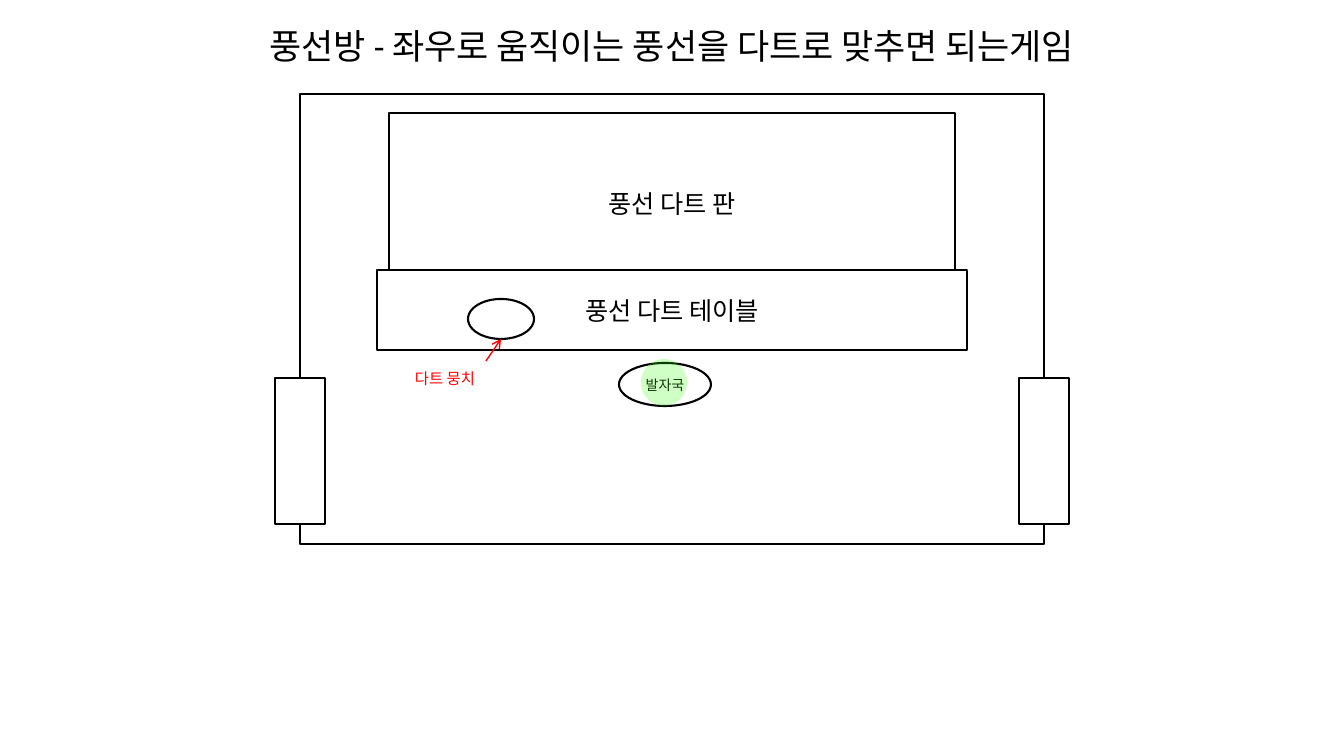
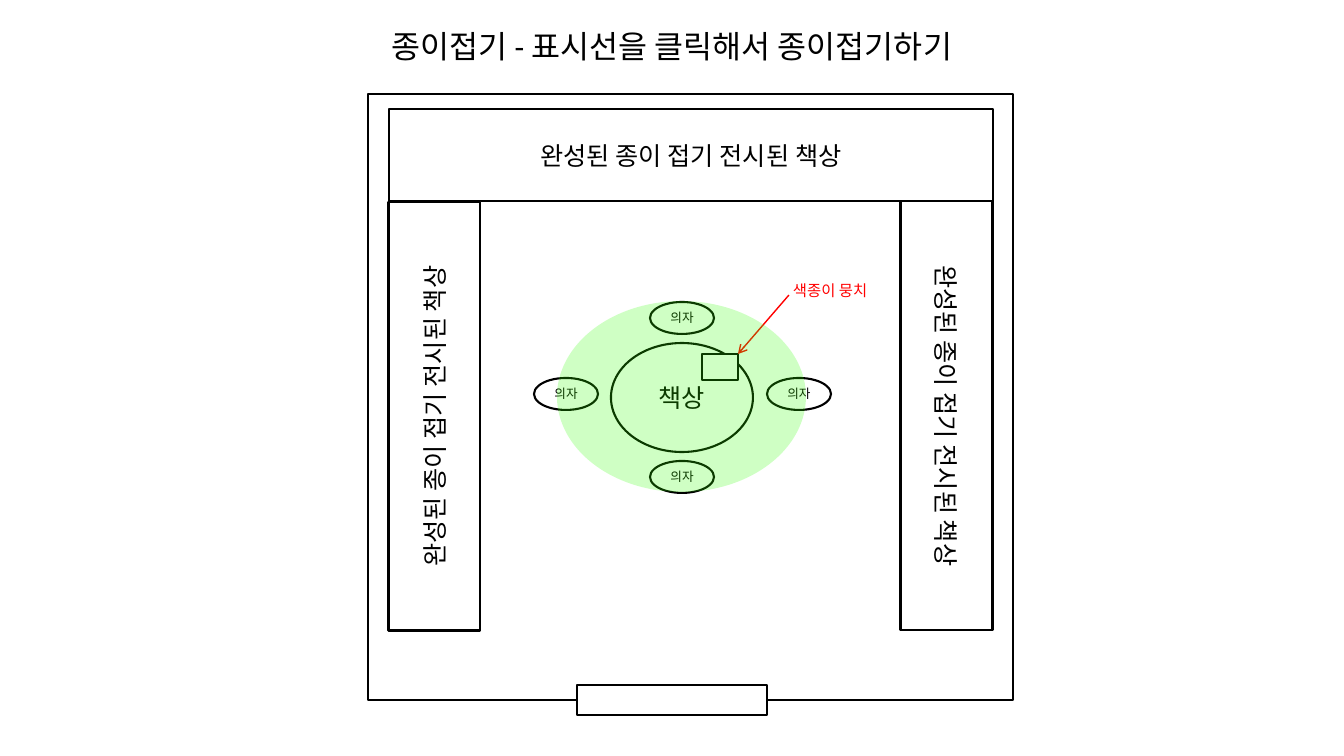
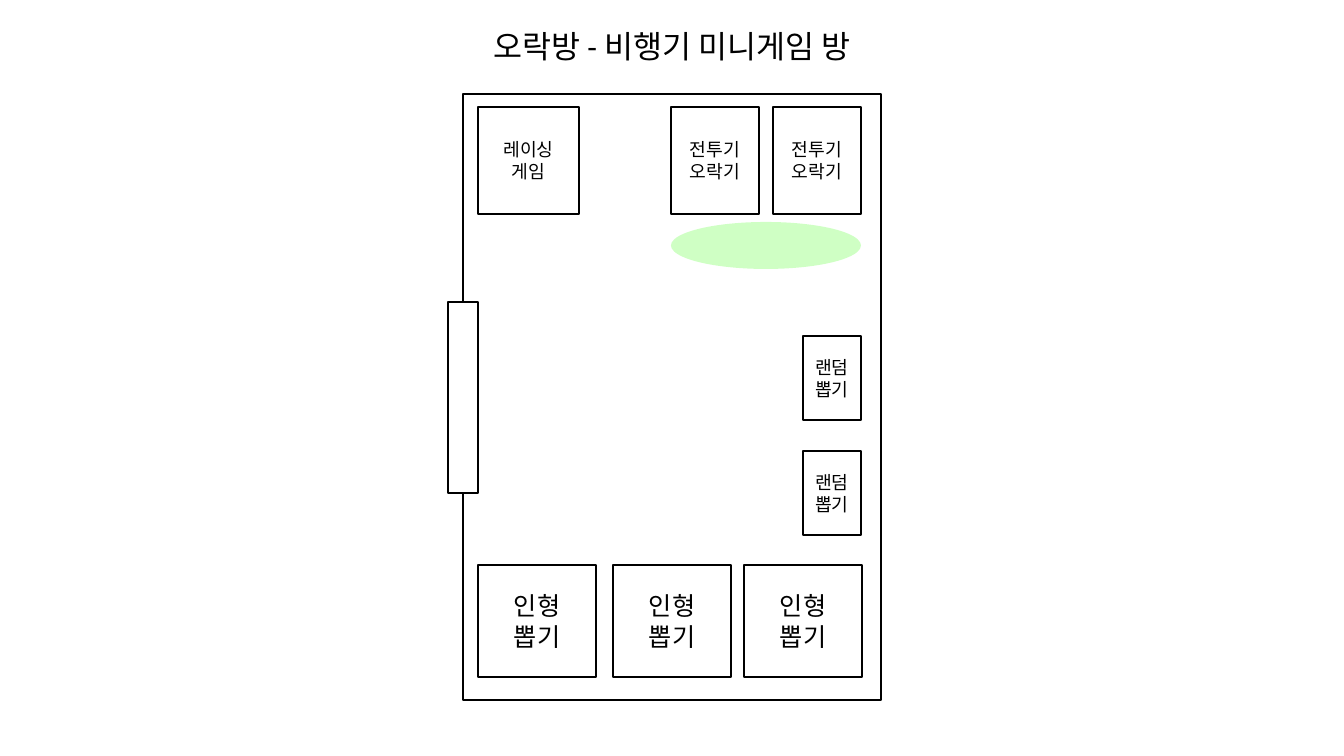
from lxml import etree
from pptx import Presentation
from pptx.dml.color import RGBColor
from pptx.enum.shapes import MSO_CONNECTOR, MSO_SHAPE
from pptx.enum.text import MSO_ANCHOR, MSO_AUTO_SIZE, PP_ALIGN
from pptx.oxml.ns import qn
from pptx.util import Emu, Pt

RECT, OVAL = MSO_SHAPE.RECTANGLE, MSO_SHAPE.OVAL
LINE = MSO_CONNECTOR.STRAIGHT
LEFT, MID = PP_ALIGN.LEFT, PP_ALIGN.CENTER
TOP, HALF = MSO_ANCHOR.TOP, MSO_ANCHOR.MIDDLE
FIXED = MSO_AUTO_SIZE.NONE

BLACK = RGBColor(0x00, 0x00, 0x00)
WHITE = RGBColor(0xFF, 0xFF, 0xFF)
RED = RGBColor(0xFF, 0x00, 0x00)
GREEN = RGBColor(0x33, 0xFF, 0x00)
FONT = "Calibri"
SCALE = 914400 / 100.8


def px(n):
    return Emu(round(n * SCALE))


def assign(item, values):
    for key, value in values.items():
        setattr(item, key, value)


class Plan:
    def __init__(self):
        self.deck = Presentation()
        assign(self.deck, {"slide_width": px(1344), "slide_height": px(756)})
        self.slide = None

    def page(self, text, size):
        self.slide = self.deck.slides.add_slide(self.deck.slide_layouts[5])
        title = self.slide.shapes.title
        assign(title, {"left": px(67), "top": px(30),
                       "width": px(1210), "height": px(31)})
        self.label(title, text, size)

    def label(self, shape, text, size, color=BLACK, align=MID, anchor=HALF):
        frame = shape.text_frame
        frame.text = text
        assign(frame, {"word_wrap": True, "auto_size": FIXED,
                       "vertical_anchor": anchor})
        for para in frame.paragraphs:
            para.alignment = align
            assign(para.font, {"name": FONT, "size": Pt(size)})
            para.font.color.rgb = color

    def shape(self, kind, box, fill):
        item = self.slide.shapes.add_shape(kind, *map(px, box))
        item.shadow.inherit = False
        item.fill.solid()
        item.fill.fore_color.rgb = fill
        return item

    def block(self, box, text="", size=18, kind=RECT, turn=0):
        item = self.shape(kind, box, WHITE)
        item.line.color.rgb = BLACK
        item.line.width = Pt(1.5)
        item.rotation = turn
        if text:
            self.label(item, text, size)

    def row(self, spots, size, text="", font=18, kind=RECT):
        for spot in spots:
            self.block((*spot, *size), text, font, kind)

    def glow(self, box):
        item = self.shape(OVAL, box, GREEN)
        item.line.fill.background()
        tone = item.element.spPr.find(qn("a:solidFill"))[0]
        etree.SubElement(tone, qn("a:alpha"), val="23000")

    def note(self, box, text, start, end):
        wire = self.slide.shapes.add_connector(LINE, *map(px, (*start, *end)))
        wire.line.color.rgb = RED
        wire.line.width = Pt(1)
        props = wire.element.spPr
        etree.SubElement(props.find(qn("a:ln")), qn("a:tailEnd"), type="arrow")
        etree.SubElement(props, qn("a:effectLst"))
        area = self.slide.shapes.add_textbox(*map(px, box))
        self.label(area, text, 11, RED, LEFT, TOP)


def darts(plan):
    plan.page("풍선방 - 좌우로 움직이는 풍선을 다트로 맞추면 되는게임", 25)
    plan.block((300, 94, 744, 450))
    plan.block((389, 113, 566, 180), "풍선 다트 판")
    plan.block((377, 270, 590, 80), "풍선 다트 테이블")
    plan.block((619, 363, 92, 43), "발자국", 10, OVAL)
    plan.row([(275, 378), (1019, 378)], (50, 146))
    plan.block((468, 299, 66, 40), kind=OVAL)
    plan.note((405, 364, 135, 29), "다트 뭉치", (486, 361), (501, 339))
    plan.glow((641, 359, 46, 47))


def paper(plan):
    desk = "완성된 종이 접기 전시된 책상"
    plan.page("종이접기 - 표시선을 클릭해서 종이접기하기", 22.5)
    plan.block((368, 94, 645, 606))
    plan.block((577, 685, 190, 30))
    plan.block((389, 109, 604, 92), desk)
    plan.block((611, 343, 142, 109), "책상", kind=OVAL)
    seats = [(650, 461), (767, 378), (534, 378), (650, 302)]
    plan.row(seats, (64, 32), "의자", 9, OVAL)
    plan.block((702, 354, 36, 26))
    plan.note((783, 276, 135, 28), "색종이 뭉치", (789, 295), (738, 354))
    for left, turn in ((220, 270), (732, 90)):
        plan.block((left, 370, 429, 92), desk, turn=turn)
    plan.glow((557, 301, 249, 191))


def arcade(plan):
    plan.page("오락방 - 비행기 미니게임 방", 22.5)
    plan.block((463, 94, 418, 606))
    plan.block((448, 302, 30, 191))
    plan.row([(478, 565), (613, 565), (744, 565)], (118, 112), "인형\n뽑기")
    plan.row([(803, 451), (803, 336)], (58, 84), "랜덤 뽑기", 13)
    plan.block((478, 107, 101, 107), "레이싱\n게임", 13)
    plan.row([(671, 107), (773, 107)], (88, 107), "전투기\n오락기", 13)
    plan.glow((671, 222, 190, 47))


def main():
    plan = Plan()
    for draw in (darts, paper, arcade):
        draw(plan)
    plan.deck.save("out.pptx")


if __name__ == "__main__":
    main()
